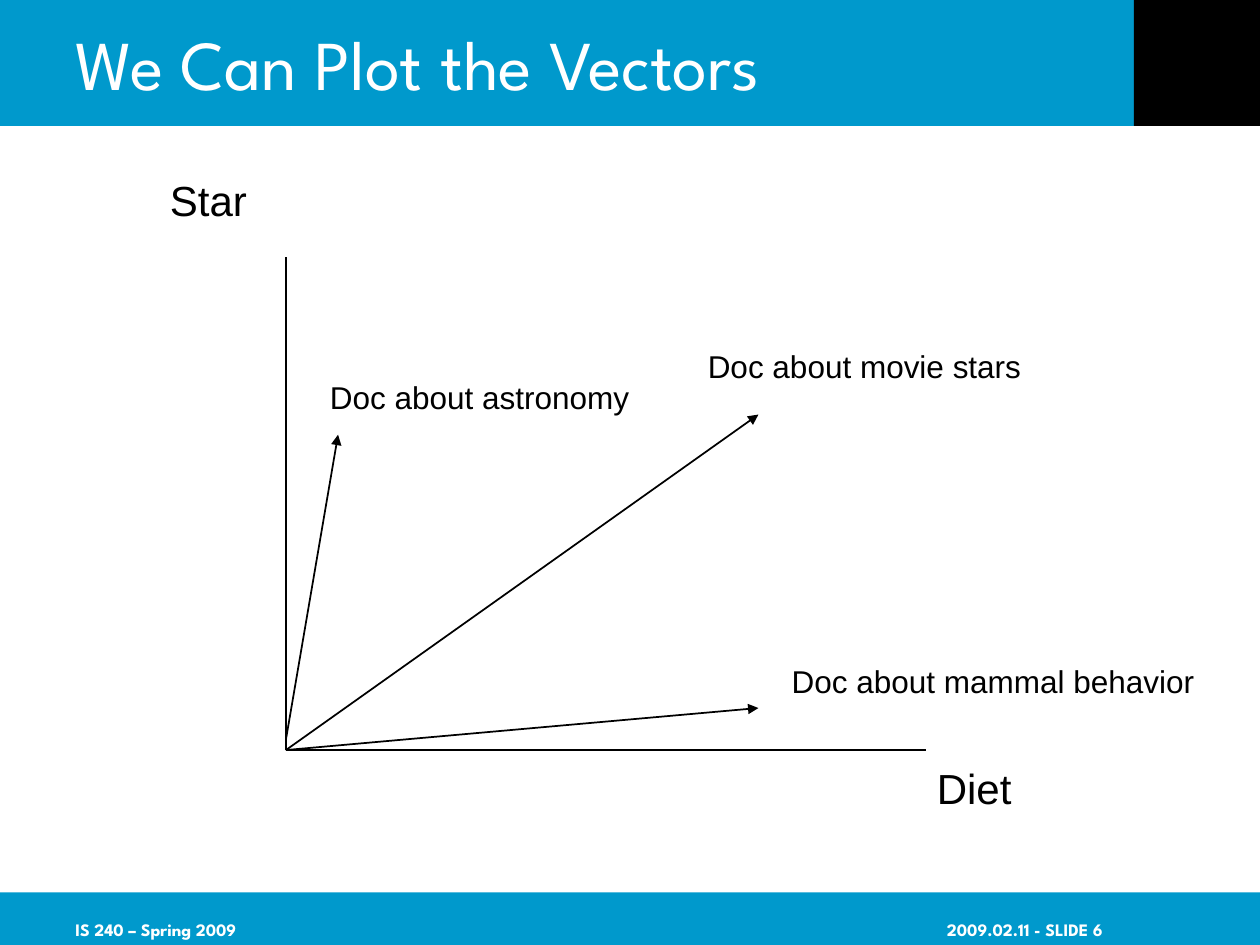
import pptx
import pptx.dml.color
import pptx.enum.shapes
import pptx.enum.text
import pptx.oxml
import pptx.oxml.ns
import pptx.util

Pt = pptx.util.Pt
ANCHOR = pptx.enum.text.MSO_ANCHOR
ALIGN = pptx.enum.text.PP_ALIGN
BLUE = pptx.dml.color.RGBColor(0x00, 0x99, 0xCC)
BLACK = pptx.dml.color.RGBColor(0, 0, 0)
WHITE = pptx.dml.color.RGBColor(255, 255, 255)
TITLE_FONT = {"name": "League Spartan", "size": Pt(40), "bold": False}
FOOTER_FONT = {"name": "League Spartan", "size": Pt(10), "bold": True}
AXIS_FONT = {"name": "Arial", "size": Pt(24)}
DOC_FONT = {"name": "Arial", "size": Pt(18)}


def write(frame, text, color, font_format, frame_format, align=ALIGN.LEFT):
    frame.text = text
    paragraph = frame.paragraphs[0]
    paragraph.alignment = align
    for target, settings in ((paragraph.runs[0].font, font_format), (frame, frame_format)):
        for key, value in settings.items():
            setattr(target, key, value)
    paragraph.runs[0].font.color.rgb = color


def draw_line(start, end, arrow=False):
    line = slide.shapes.add_connector(
        pptx.enum.shapes.MSO_CONNECTOR.STRAIGHT, *map(Pt, start + end))
    line.line.color.rgb = BLACK
    line.line.width = Pt(1)
    if arrow:
        stroke = line.line._get_or_add_ln()
        stroke.append(pptx.oxml.parse_xml(
            f'<a:tailEnd {pptx.oxml.ns.nsdecls("a")} type="triangle"/>'))
    line._element.spPr.append(pptx.oxml.parse_xml(
        f'<a:effectLst {pptx.oxml.ns.nsdecls("a")}/>'))


prs = pptx.Presentation()
prs.slide_width, prs.slide_height = Pt(720), Pt(540)
slide = prs.slides.add_slide(prs.slide_layouts[5])

# Header and footer bands
for box, color in (
    ((0, 0, 720, 72), BLUE),
    ((0, 510, 720, 30), BLUE),
    ((648, 0, 72, 72), BLACK),
):
    band = slide.shapes.add_shape(
        pptx.enum.shapes.MSO_SHAPE.RECTANGLE, *map(Pt, box))
    band.shadow.inherit = False
    band.fill.solid()
    band.fill.fore_color.rgb = color
    band.line.fill.background()

# Title, brought in front of the header band
title = slide.shapes.title
title.left, title.top, title.width, title.height = map(Pt, (36, 0, 612, 72))
write(title.text_frame, "We Can Plot the Vectors", WHITE, TITLE_FONT,
      {"vertical_anchor": ANCHOR.MIDDLE, "word_wrap": True})
slide.shapes._spTree.append(title._element)

# Footer: course on the left, date and slide number on the right
for text, left, right_inset, align in (
    ("IS 240 – Spring 2009", 36, 0, ALIGN.LEFT),
    ("2009.02.11 - SLIDE 6", 534, 54, ALIGN.RIGHT),
):
    footer = slide.shapes.add_textbox(Pt(left), Pt(510), Pt(150), Pt(30))
    write(footer.text_frame, text, WHITE, FOOTER_FONT,
          {"vertical_anchor": ANCHOR.MIDDLE, "word_wrap": True,
           "margin_top": Pt(15), "margin_bottom": Pt(3),
           "margin_right": Pt(right_inset)}, align)

# Axes and document vectors
origin = (163.4, 428.6)
for axis_end in ((163.4, 146.9), (529.2, 428.6)):
    draw_line(origin, axis_end)
for start, tip in (
    ((163.4, 422.6), (193.2, 248.4)),
    (origin, (433.4, 404.6)),
    (origin, (433.4, 236.9)),
):
    draw_line(start, tip, arrow=True)

# Axis and vector labels, each wide enough for a single line
for text, left, top, width, height, font_format in (
    ("Star", 90, 96.2, 62, 36, AXIS_FONT),
    ("Diet", 528.2, 432, 62, 36, AXIS_FONT),
    ("Doc about astronomy", 181.4, 212.4, 192, 28.8, DOC_FONT),
    ("Doc about movie stars", 397.4, 194.6, 200, 28.8, DOC_FONT),
    ("Doc about mammal behavior", 445.3, 374.6, 252, 28.8, DOC_FONT),
):
    label = slide.shapes.add_textbox(*map(Pt, (left, top, width, height)))
    write(label.text_frame, text, BLACK, font_format, {"word_wrap": True})

prs.save("out.pptx")
